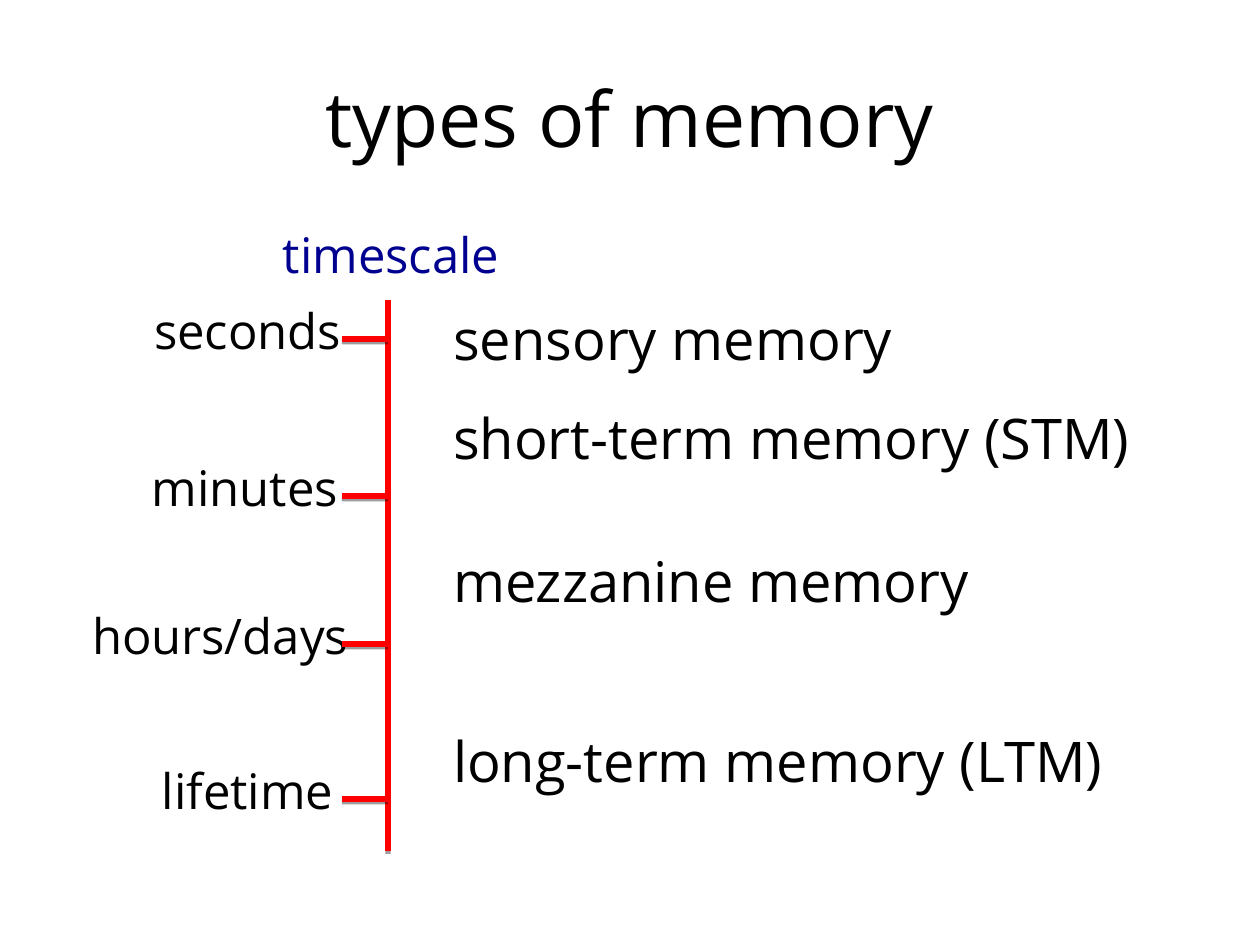
from lxml.etree import SubElement
from pptx import Presentation
from pptx.dml.color import RGBColor
from pptx.enum.shapes import MSO_CONNECTOR
from pptx.enum.text import MSO_ANCHOR, MSO_AUTO_SIZE, PP_ALIGN
from pptx.oxml.ns import qn
from pptx.util import Emu, Pt

BLACK = RGBColor(0x00, 0x00, 0x00)
NAVY = RGBColor(0x00, 0x00, 0x90)
RED = RGBColor(0xFF, 0x00, 0x00)
WHITE = RGBColor(0xFF, 0xFF, 0xFF)
FONT = "Open Sans"
INSET = 5

TIMES = [
    ("seconds", 62, 295, 205),
    ("minutes", 60, 452, 204),
    ("hours/days", 0, 600, 282),
    ("lifetime", 70, 755, 192),
]
MEMORIES = [
    ("sensory memory", 300, 461),
    ("short-term memory (STM)", 399, 722),
    ("mezzanine memory", 542, 548),
    ("long-term memory (LTM)", 722, 699),
]


def px(n):
    return Emu(round(n * 914400 / 126))


def add_text(s, text, x, y, w, h, size=28, color=BLACK, align=PP_ALIGN.LEFT,
             anchor=MSO_ANCHOR.TOP, wrap=False):
    tf = s.shapes.add_textbox(px(x), px(y), px(w), px(h)).text_frame
    tf.margin_left = tf.margin_right = tf.margin_top = tf.margin_bottom = px(INSET)
    tf.word_wrap = wrap
    tf.auto_size = MSO_AUTO_SIZE.NONE if wrap else MSO_AUTO_SIZE.SHAPE_TO_FIT_TEXT
    tf.vertical_anchor = anchor
    p = tf.paragraphs[0]
    p.alignment = align
    r = p.add_run()
    r.text = text
    r.font.name = FONT
    r.font.size = Pt(size)
    r.font.color.rgb = color


def add_line(s, x1, y1, x2, y2):
    c = s.shapes.add_connector(MSO_CONNECTOR.STRAIGHT, px(x1), px(y1), px(x2), px(y2))
    c.line.color.rgb = RED
    c.line.width = Pt(3)
    effects = SubElement(c._element.spPr, qn("a:effectLst"))
    shadow = SubElement(effects, qn("a:outerShdw"), blurRad="0", dist=str(Pt(1.6)),
                        dir="5400000", rotWithShape="0")
    clr = SubElement(shadow, qn("a:srgbClr"), val=str(BLACK))
    SubElement(clr, qn("a:alpha"), val="38000")


def add_title(s, x, y, w, h):
    add_text(s, "types of memory", x, y, w, h, size=44, align=PP_ALIGN.CENTER,
             anchor=MSO_ANCHOR.MIDDLE, wrap=True)


def add_timescale(s, x, y, w, h):
    axis = x + w
    add_text(s, "timescale", axis - 110, y - 81, 237, 68, color=NAVY)
    add_line(s, axis, y, axis, y + h)
    for label, dx, top, width in TIMES:
        add_text(s, label, x + dx, top, width, 68)
        add_line(s, axis - 46, top + 44, axis, top + 44)


def add_memories(s, x):
    for label, top, width in MEMORIES:
        add_text(s, label, x, top, width, 77, size=32)


def main():
    prs = Presentation()
    prs.slide_width, prs.slide_height = px(1260), px(945)
    s = prs.slides.add_slide(prs.slide_layouts[6])
    s.background.fill.solid()
    s.background.fill.fore_color.rgb = WHITE
    add_title(s, 63, 38, 1134, 158)
    add_timescale(s, 87, 300, 301, 551)
    add_memories(s, 448)
    prs.save("out.pptx")


if __name__ == "__main__":
    main()
